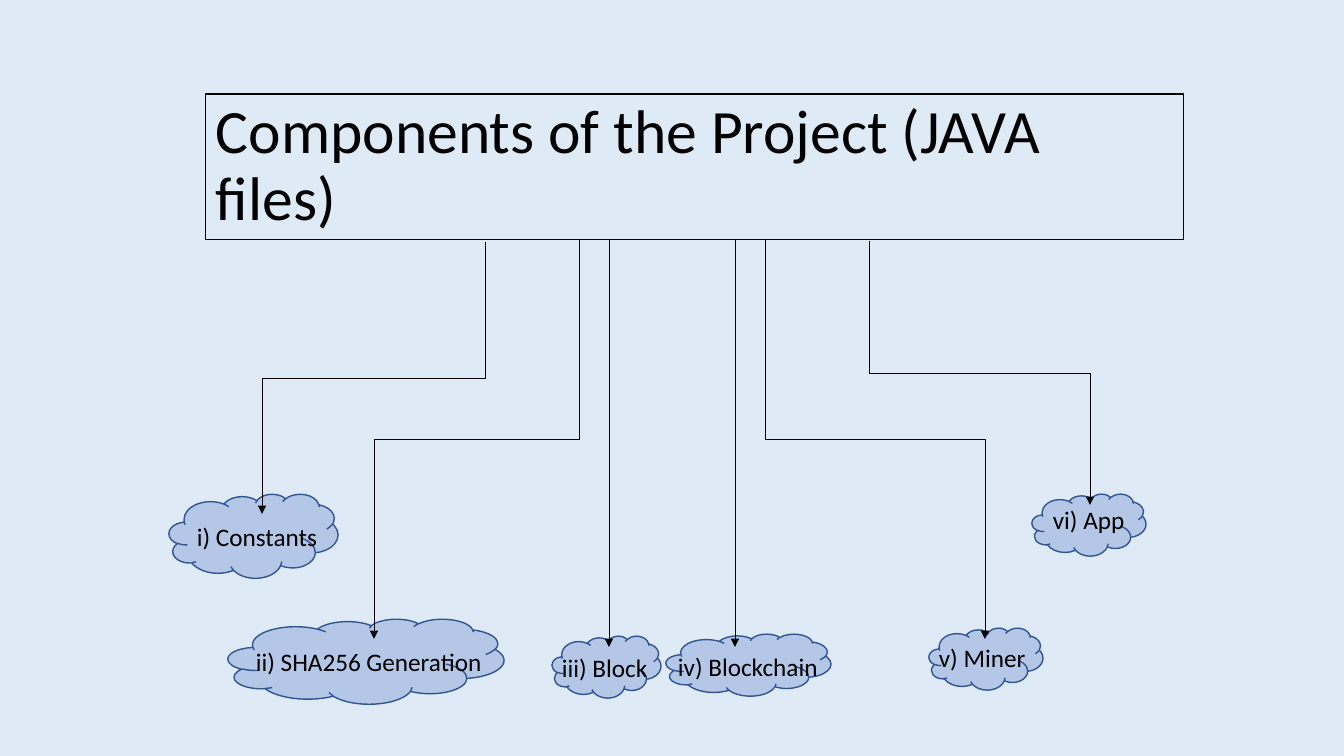
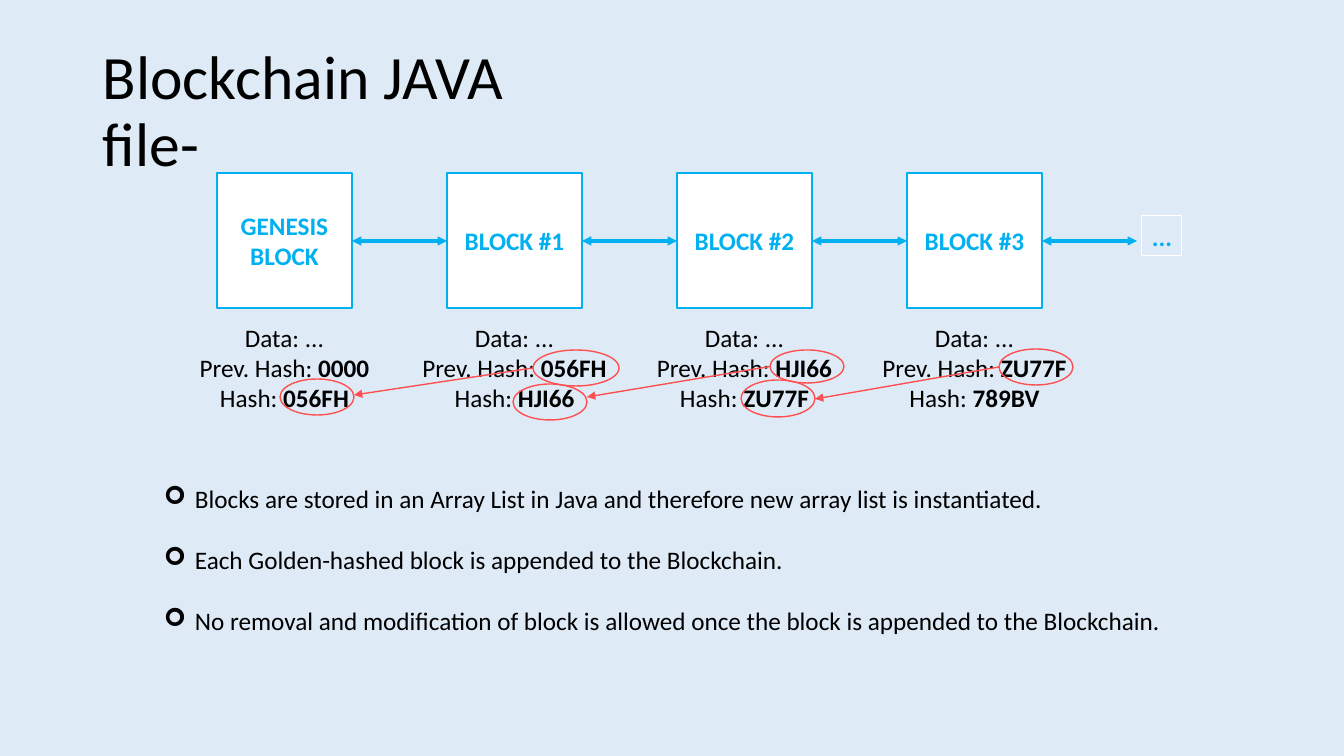
from dataclasses import dataclass

from lxml import etree
from pptx import Presentation
from pptx import util as u
from pptx.dml.color import RGBColor
from pptx.enum import shapes, text
from pptx.oxml.ns import qn

SCALE = 914400 / 100.8
SHAPE = shapes.MSO_SHAPE
ALIGN = text.PP_ALIGN
ANCHOR = text.MSO_ANCHOR


@dataclass(frozen=True)
class Theme:
    """Colours, font and sizes shared by the slides."""
    background: str = "DEEBF7"
    ink: str = "000000"
    cloud: str = "B4C7E7"
    cloud_line: str = "325491"
    chain: str = "00B0F0"
    paper: str = "FFFFFF"
    accent: str = "FF5050"
    font: str = "Calibri"
    title: int = 44
    body: int = 18


THEME = Theme()


def px(length):
    """Turn pixels into EMU."""
    return u.Emu(round(length * SCALE))


def style_runs(paragraph, size=THEME.body, color=THEME.ink, bold=None):
    """Give every run of a paragraph the theme font."""
    for run in paragraph.runs:
        run.font.name = THEME.font
        run.font.size = u.Pt(size)
        run.font.color.rgb = RGBColor.from_string(color)
        if bold is not None:
            run.font.bold = bold


def add_text(slide, box, words, wrap=True, align=ALIGN.LEFT):
    """Add a text box in body type."""
    shape = slide.shapes.add_textbox(*map(px, box))
    shape.text_frame.word_wrap = wrap
    shape.text_frame.text = words
    for paragraph in shape.text_frame.paragraphs:
        paragraph.alignment = align
        style_runs(paragraph)
    return shape


def add_title(slide, box, words):
    """Add a large title, centred vertically in its box."""
    shape = add_text(slide, box, words)
    shape.text_frame.vertical_anchor = ANCHOR.MIDDLE
    paragraph = shape.text_frame.paragraphs[0]
    paragraph.line_spacing = 0.9
    style_runs(paragraph, THEME.title)
    return shape


def add_outline(slide, kind, box, line, fill=None, weight=1.0):
    """Add a preset shape with an outline and an optional fill."""
    shape = slide.shapes.add_shape(kind, *map(px, box))
    shape.shadow.inherit = False
    if fill:
        shape.fill.solid()
        shape.fill.fore_color.rgb = RGBColor.from_string(fill)
    else:
        shape.fill.background()
    shape.line.color.rgb = RGBColor.from_string(line)
    shape.line.width = u.Pt(weight)
    return shape


def add_arrow(slide, start, end, color, weight, ends=("tailEnd",)):
    """Add an arrow that runs straight, or bends halfway down when it has to."""
    (x1, y1), (x2, y2) = start, end
    bent = weight == 0.5 and x1 != x2
    kind = shapes.MSO_CONNECTOR.STRAIGHT
    if bent:
        kind = shapes.MSO_CONNECTOR.ELBOW
        middle_x, middle_y = (x1 + x2) / 2, (y1 + y2) / 2
        half_drop, half_shift = (y2 - y1) / 2, abs(x2 - x1) / 2
        turn = 90 if x2 < x1 else 270
        side = -half_drop if turn == 90 else half_drop
        x1, x2 = middle_x + side, middle_x - side
        y1, y2 = middle_y - half_shift, middle_y + half_shift
    connector = slide.shapes.add_connector(kind, px(x1), px(y1), px(x2), px(y2))
    connector.line.color.rgb = RGBColor.from_string(color)
    connector.line.width = u.Pt(weight)
    properties = connector._element.spPr
    if bent:
        properties.find(qn("a:xfrm")).set("rot", str(turn * 60000))
    outline = properties.find(qn("a:ln"))
    for name in ends:
        etree.SubElement(outline, qn(f"a:{name}")).set("type", "triangle")
    etree.SubElement(properties, qn("a:effectLst"))


def add_component(slide, cloud, label, words, start, end):
    """Add one cloud with its label and the arrow leading to it."""
    add_outline(slide, SHAPE.CLOUD, cloud, THEME.cloud_line, THEME.cloud)
    add_arrow(slide, start, end, THEME.ink, 0.5)
    add_text(slide, (*label, 40), words)


def add_block_chain(slide, left, top):
    """Add the row of linked blocks with their captions."""
    size, pitch = 135, 230
    blocks = (
        ("GENESIS\nBLOCK", "0000", "056FH"),
        ("BLOCK #1", "056FH", "HJI66"),
        ("BLOCK #2", "HJI66", "ZU77F"),
        ("BLOCK #3", "ZU77F", "789BV"),
    )
    for index, (name, previous, own) in enumerate(blocks):
        x = left + index * pitch
        block = add_outline(slide, SHAPE.RECTANGLE, (x, top, size, size),
                            THEME.chain, THEME.paper)
        block.text_frame.text = name
        block.text_frame.vertical_anchor = ANCHOR.MIDDLE
        for paragraph in block.text_frame.paragraphs:
            paragraph.alignment = ALIGN.CENTER
            style_runs(paragraph, color=THEME.chain, bold=True)
        middle = top + 68
        add_arrow(slide, (x + size, middle), (x + pitch, middle), THEME.chain,
                  2.25, ("headEnd", "tailEnd"))
        add_caption(slide, (x - 36, top + 144, size + 72, 102), previous, own)
    dots_box = (left + 925, top + 43, 40, 40)
    add_outline(slide, SHAPE.RECTANGLE, dots_box, THEME.paper, weight=0.75)
    dots = add_text(slide, dots_box, "...", wrap=False)
    style_runs(dots.text_frame.paragraphs[0], color=THEME.chain, bold=True)


def add_caption(slide, box, previous, own):
    """Add the data and hash lines under one block."""
    caption = add_text(slide, box, "Data: ...\nPrev. Hash: \nHash: ",
                       wrap=False, align=ALIGN.CENTER)
    for paragraph, value in zip(caption.text_frame.paragraphs[1:], (previous, own)):
        paragraph.add_run().text = value
        style_runs(paragraph)
        paragraph.runs[-1].font.bold = True


def add_hash_links(slide):
    """Circle matching hashes and join each pair with an arrow."""
    links = (
        ((533, 350, 86, 36), (280, 379, 74, 36), 395),
        ((770, 350, 74, 33), (513, 384, 74, 36), 397),
        ((999, 349, 74, 36), (741, 380, 74, 37), 399),
    )
    for previous, own, tip in links:
        for ring in (previous, own):
            add_outline(slide, SHAPE.OVAL, ring, THEME.accent)
        start = (previous[0], previous[1] + previous[3] / 2)
        add_arrow(slide, start, (own[0] + own[2], tip), THEME.accent, 1)


def add_bullets(slide, box, lines):
    """Add a list with arrow bullets and a line of space between items."""
    shape = add_text(slide, box, "\n".join(lines))
    for index, paragraph in enumerate(shape.text_frame.paragraphs):
        if index:
            paragraph.space_before = u.Pt(22)
        properties = paragraph._p.get_or_add_pPr()
        indent = px(31)
        properties.set("marL", str(indent))
        properties.set("indent", str(-indent))
        font = etree.SubElement(properties, qn("a:buFont"))
        font.set("typeface", "Wingdings")
        etree.SubElement(properties, qn("a:buChar")).set("char", "\u27a2")


def build_components(slide):
    """Build the overview of the project's files."""
    title_box = (206, 94, 978, 146)
    title = add_title(slide, title_box, "Components of the Project (JAVA files)")
    title.line.color.rgb = RGBColor.from_string(THEME.ink)
    title.line.width = u.Pt(0.75)
    components = (
        ((169, 494, 169, 84), (187, 516, 153), "i) Constants", (485, 242), (262, 514)),
        ((228, 619, 276, 85), (246, 641, 254), "ii) SHA256 Generation",
         (579, 240), (374, 639)),
        ((552, 636, 109, 62), (552, 647, 112), "iii) Block", (609, 240), (609, 647)),
        ((666, 634, 165, 62), (668, 646, 161), "iv) Blockchain",
         (735, 240), (735, 647)),
        ((929, 628, 114, 62), (929, 637, 109), "v) Miner", (765, 240), (985, 639)),
        ((1032, 494, 114, 62), (1043, 499, 97), "vi) App", (869, 241), (1090, 505)),
    )
    for component in components:
        add_component(slide, *component)


def build_blockchain(slide):
    """Build the slide about the chain of blocks."""
    add_title(slide, (93, 40, 527, 146), "Blockchain JAVA file-")
    add_block_chain(slide, 217, 173)
    add_hash_links(slide)
    add_bullets(slide, (154, 478, 1028, 163), (
        "Blocks are stored in an Array List in Java and therefore new array list "
        "is instantiated.",
        "Each Golden-hashed block is appended to the Blockchain.",
        "No removal and modification of block is allowed once the block is "
        "appended to the Blockchain.",
    ))


def main():
    """Build and save the presentation."""
    presentation = Presentation()
    presentation.slide_width, presentation.slide_height = px(1344), px(756)
    background = presentation.slide_master.background.fill
    background.solid()
    background.fore_color.rgb = RGBColor.from_string(THEME.background)
    for build in (build_components, build_blockchain):
        build(presentation.slides.add_slide(presentation.slide_layouts[6]))
    presentation.save("out.pptx")


main()
